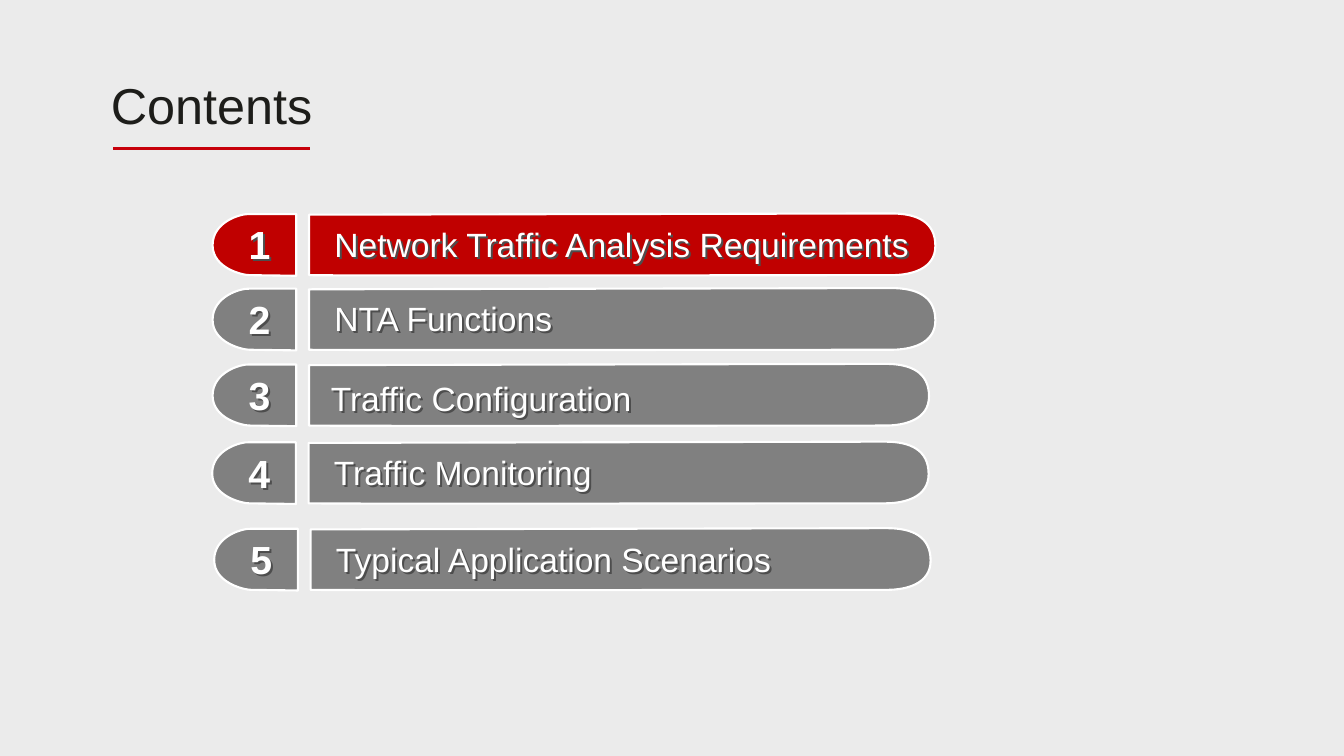
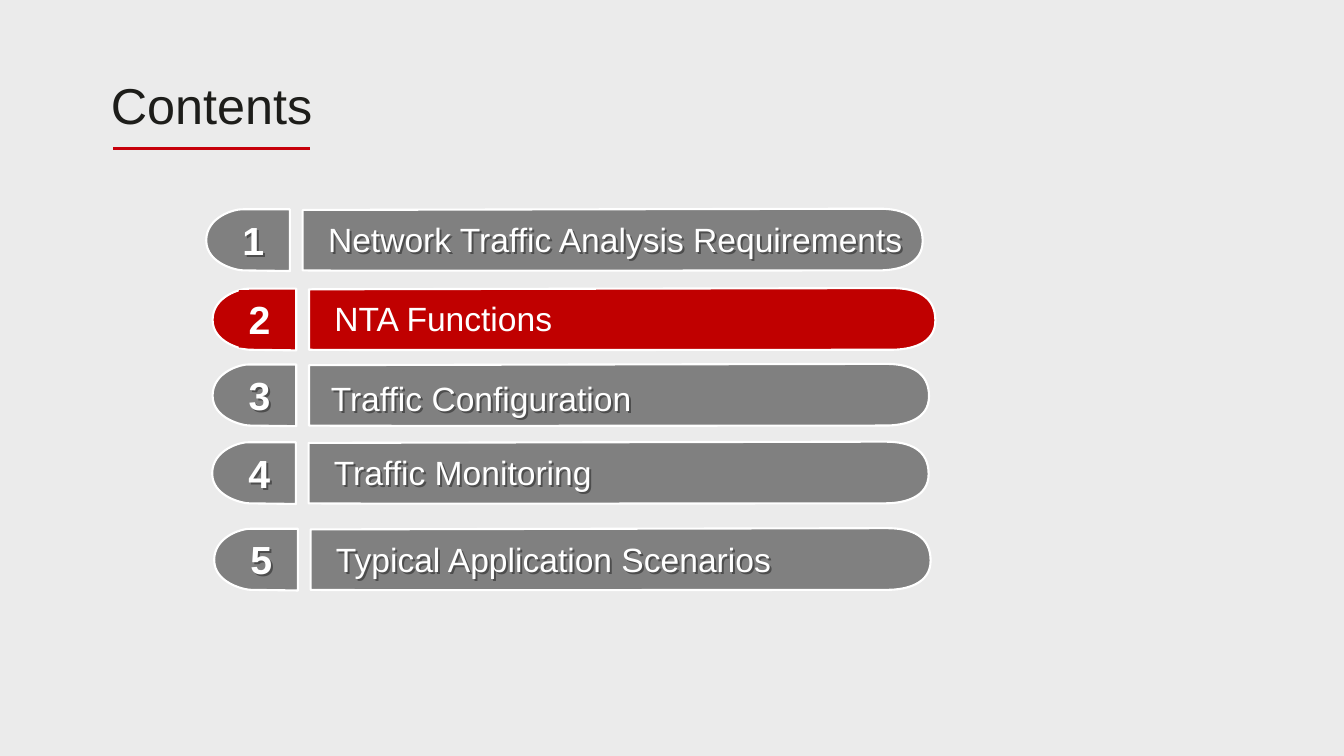
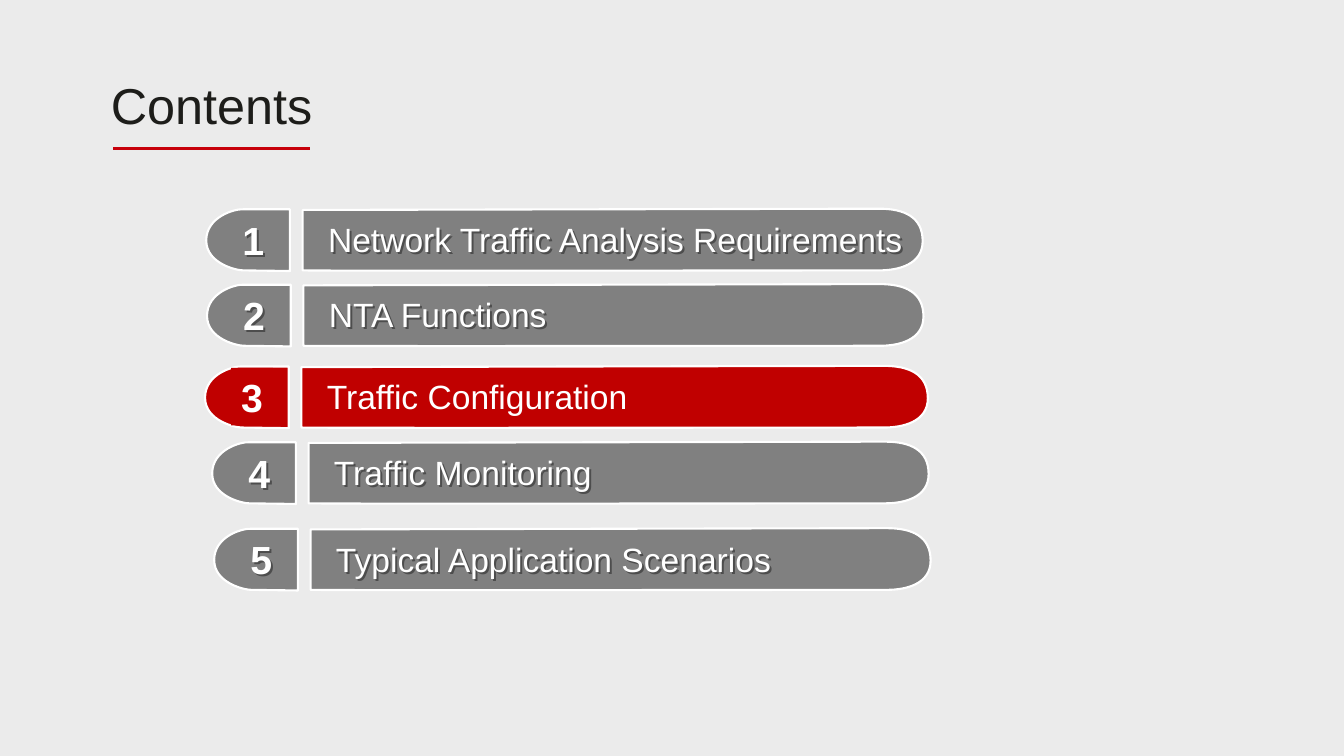
"""Build three agenda slides, each with its current topic in red."""
from dataclasses import dataclass

from lxml import etree
from pptx import Presentation
from pptx.dml.color import RGBColor
from pptx.enum import shapes as kinds, text as txt
from pptx.oxml import ns
from pptx.util import Cm, Pt

PAPER = RGBColor(0xEB, 0xEB, 0xEB)
INK = RGBColor(0x1D, 0x1D, 0x1A)
RULE = RGBColor(0xC7, 0x00, 0x0B)
RED = RGBColor(0xC0, 0x00, 0x00)
GREY = RGBColor(0x80, 0x80, 0x80)
WHITE = RGBColor(0xFF, 0xFF, 0xFF)
SHADE = RGBColor(0x4D, 0x4D, 0x4D)

WIDE, SLIM, HIGH = 15.79, 15.63, 1.57
CAP_WIDE, BAR_START = 2.11, 2.43

CAP = [[(1, 0.01)], [(1, 1)], [(0.44, 0.99)],
       [(0.36, 0.99), (0, 0.88), (0, 0.51)],
       [(0, 0.13), (0.34, 0), (0.44, 0.01)]]
BAR = [[(0, 0.02)], [(0, 0.99)],
       [(0.03, 1), (0.91, 0.99), (0.93, 0.99)],
       [(0.96, 0.99), (1, 0.9), (1, 0.52)],
       [(1, 0.13), (0.97, 0), (0.93, 0)],
       [(0.9, 0), (0.03, 0.02), (0, 0.02)]]

TOPICS = ["Network Traffic Analysis Requirements", "NTA Functions",
          "Traffic Configuration", "Traffic Monitoring",
          "Typical Application Scenarios"]


@dataclass
class Spot:
    """Place of one agenda row in cm, with the shift of its label."""
    x: float
    y: float
    w: float = SLIM
    dx: float = 0
    dy: float = 0


AHEAD = [Spot(5.36, 5.38, WIDE), Spot(5.36, 7.26, WIDE),
         Spot(5.36, 9.17, dx=-0.09, dy=0.1), Spot(5.35, 11.13),
         Spot(5.4, 13.31, dy=0.02)]
LIVE = AHEAD[:2] + [Spot(5.17, 9.22, WIDE)]
DONE = [Spot(5.2, 5.26), Spot(5.22, 7.16)]


def write(frame, words, size=24, color=WHITE, bold=False,
          align=txt.PP_ALIGN.LEFT, wrap=True):
    """Fill a text frame with one formatted line."""
    frame.word_wrap = wrap
    frame.auto_size = txt.MSO_AUTO_SIZE.NONE
    frame.vertical_anchor = txt.MSO_ANCHOR.MIDDLE
    para = frame.paragraphs[0]
    para.alignment = align
    run = para.add_run()
    run.text = words
    font = run.font
    font.name, font.size, font.bold = "Arial", Pt(size), bold
    font.color.rgb = color


def label(parent, box, words, fill=None, **form):
    """Add a text box in cm, filled or with a shadow on its letters."""
    part = parent.add_textbox(*map(Cm, box))
    if fill is not None:
        part.fill.solid()
        part.fill.fore_color.rgb = fill
    else:
        glow = etree.SubElement(part.element.spPr, ns.qn("a:effectLst"))
        drop = etree.SubElement(glow, ns.qn("a:outerShdw"), dist="25400",
                                dir="2700000", algn="tl", rotWithShape="0")
        etree.SubElement(drop, ns.qn("a:srgbClr"), val=str(SHADE))
    write(part.text_frame, words, **form)


def bend(part, steps):
    """Merge each run of three line points into one cubic curve."""
    lines = iter(list(part.element.iter(ns.qn("a:lnTo"))))
    for step in steps[1:]:
        first, *rest = [next(lines) for _ in step]
        if rest:
            first.tag = ns.qn("a:cubicBezTo")
            for line in rest:
                first.append(line[0])
                line.getparent().remove(line)


def pill(parent, box, steps, color):
    """Draw an outlined piece of a row inside a box given in cm."""
    x, y, w, h = box
    points = [(Cm(x + w * u), Cm(y + h * v)) for step in steps for u, v in step]
    pen = parent.build_freeform(*points[0])
    pen.add_line_segments(points[1:], close=True)
    part = pen.convert_to_shape()
    bend(part, steps)
    part.shadow.inherit = False
    part.fill.solid()
    part.fill.fore_color.rgb = color
    part.line.color.rgb = WHITE
    part.line.width = Pt(1.5)


def row(slide, spot, num, color, fill):
    """Draw one numbered agenda row."""
    x, y = spot.x, spot.y
    group = slide.shapes.add_group_shape().shapes
    pill(group, (x + BAR_START, y, spot.w, HIGH), BAR, color)
    pill(group, (x, y, CAP_WIDE, HIGH), CAP, color)
    label(group, (x + 2.82 + spot.dx, y + 0.13 + spot.dy,
                  15.4 if num == 1 else 14.4, 1.27),
          TOPICS[num - 1], fill=fill)
    label(group, (x + 0.66, y + 0.05, 1.05, 1.45), str(num), fill=fill,
          size=28, bold=True, align=txt.PP_ALIGN.CENTER)


def agenda(deck, layout, live):
    """Add an agenda slide with the given topic in red."""
    slide = deck.slides.add_slide(layout)
    write(slide.shapes.title.text_frame, "Contents", size=36, color=INK,
          wrap=False)
    for num in range(1, len(TOPICS) + 1):
        spots = DONE if num < live else LIVE if num == live else AHEAD
        row(slide, spots[num - 1], num, RED if num == live else GREY,
            RED if num == live > 1 else None)
    return slide


def style(deck, layout):
    """Set the shared background and title place."""
    back = deck.slide_master.background.fill
    back.solid()
    back.fore_color.rgb = PAPER
    title = layout.placeholders[0]
    title.left, title.top, title.width, title.height = map(
        Cm, (2.54, 1.73, 5.64, 1.8))


def rule(slide, layout):
    """Draw the red title rule and hand it to the layout."""
    line = slide.shapes.add_connector(
        kinds.MSO_CONNECTOR.STRAIGHT, Cm(2.86), Cm(3.74), Cm(7.82), Cm(3.74))
    line.line.color.rgb = RULE
    line.line.width = Pt(2.25)
    etree.SubElement(line.element.spPr, ns.qn("a:effectLst"))
    layout.shapes.element.append(line.element)


def main():
    """Build and save the deck."""
    deck = Presentation()
    deck.slide_width, deck.slide_height = Cm(33.88), Cm(19.05)
    layout = deck.slide_layouts[5]
    style(deck, layout)
    slides = [agenda(deck, layout, live) for live in (1, 2, 3)]
    rule(slides[0], layout)
    deck.save("out.pptx")


if __name__ == "__main__":
    main()
